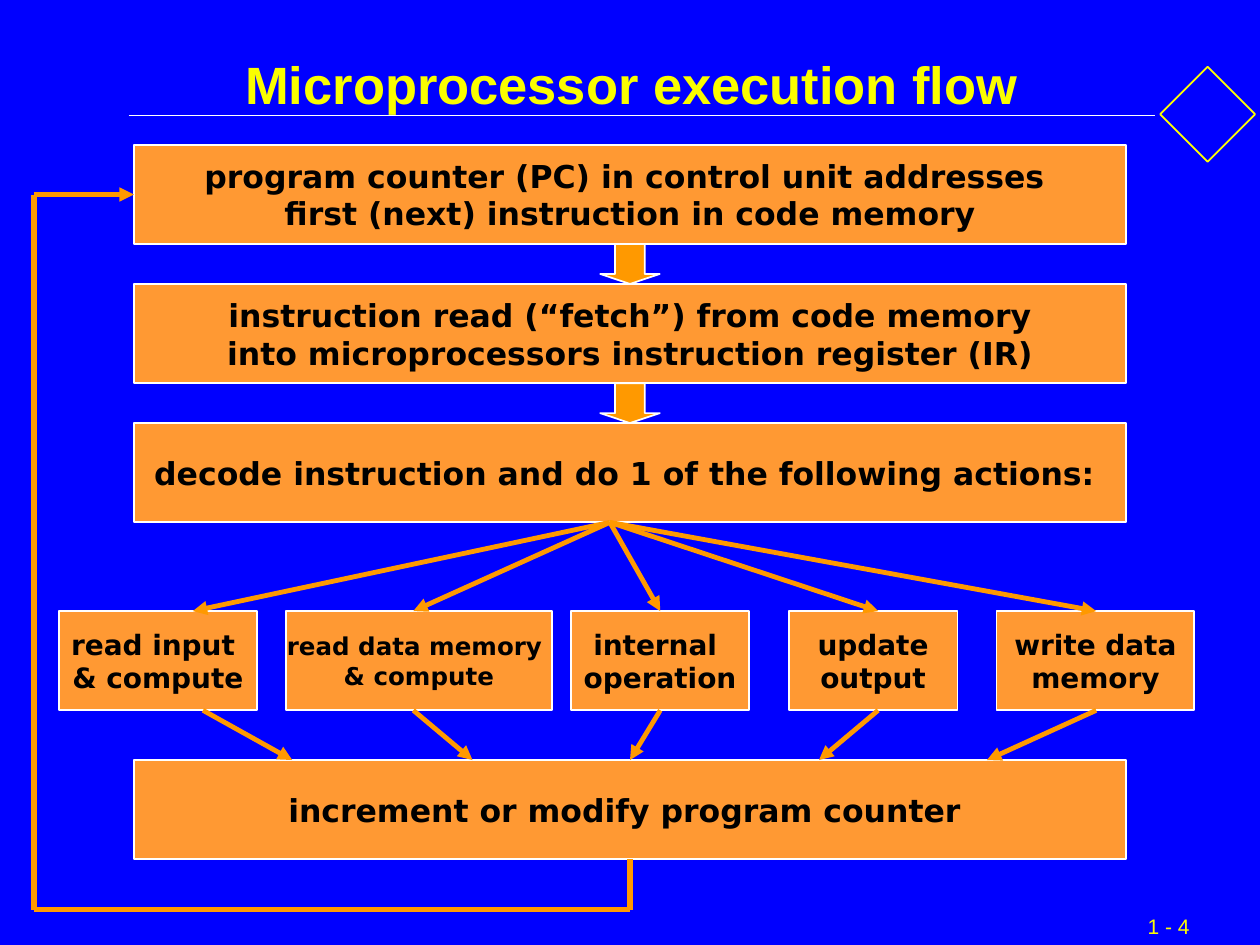
from itertools import pairwise

from lxml import etree
from pptx import Presentation
from pptx.dml.color import RGBColor
from pptx.enum.shapes import MSO_CONNECTOR, MSO_SHAPE
from pptx.enum.text import MSO_ANCHOR, PP_ALIGN
from pptx.oxml.ns import qn
from pptx.util import Pt

STRAIGHT = MSO_CONNECTOR.STRAIGHT
RECT, DIAMOND, DOWN = MSO_SHAPE.RECTANGLE, MSO_SHAPE.DIAMOND, MSO_SHAPE.DOWN_ARROW
TOP, MIDDLE = MSO_ANCHOR.TOP, MSO_ANCHOR.MIDDLE
CENTER, LEFT = PP_ALIGN.CENTER, PP_ALIGN.LEFT


class Theme:
    back = RGBColor(0x00, 0x00, 0xFF)
    box = RGBColor(0xFF, 0x99, 0x33)
    arrow = RGBColor(0xFF, 0x99, 0x00)
    rule = RGBColor(0xFF, 0xFF, 0xFF)
    mark = RGBColor(0xFF, 0xFF, 0x00)
    title = {"name": "Arial", "size": Pt(30), "bold": True,
             "color": RGBColor(0xFA, 0xFD, 0x00)}
    number = {"name": "Arial", "size": Pt(12), "bold": False, "color": mark}
    label = {"name": "DejaVu Sans", "bold": True, "color": RGBColor(0, 0, 0)}
    step_size, action_size, tight_size = 18, 16, 14
    thin, arrow_width, loop_width = 1, 2.75, 3


STEPS = [
    ["program counter (PC) in control unit addresses ",
     "first (next) instruction in code memory"],
    ["instruction read (“fetch”) from code memory",
     "into microprocessors instruction register (IR)"],
    ["decode instruction and do 1 of the following actions: "],
]
LAST_STEP = ["increment or modify program counter "]

# lines, left, width, type size, arrow in x, arrow out x, arrow landing x
ACTIONS = [
    (["read input ", "& compute"], 33.8, 113, Theme.action_size, 110.2, 116, 167),
    (["read data memory ", "& compute"], 163.4, 152, Theme.tight_size, 236.2, 236.2, 270),
    (["internal ", "operation"], 326.2, 102, Theme.action_size, 377.3, 377.3, 360),
    (["update", "output"], 450.7, 96.5, Theme.action_size, 501.8, 501.8, 468),
    (["write data", "memory"], 569.5, 113, Theme.action_size, 626.4, 626.4, 564),
]


def write(tf, lines, style, align=CENTER):
    for i, line in enumerate(lines):
        p = tf.paragraphs[0] if i == 0 else tf.add_paragraph()
        p.alignment = align
        r = p.add_run()
        r.text = line
        for name, value in style.items():
            if name == "color":
                r.font.color.rgb = value
            else:
                setattr(r.font, name, value)


def add_shape(s, kind, box, fill, line):
    """Add a preset shape; a fill of None leaves it hollow."""
    sp = s.shapes.add_shape(kind, *map(Pt, box))
    sp.shadow.inherit = False
    if fill is None:
        sp.fill.background()
    else:
        sp.fill.solid()
        sp.fill.fore_color.rgb = fill
    sp.line.color.rgb = line
    sp.line.width = Pt(Theme.thin)
    return sp


def add_line(s, start, end, color, width, head=False):
    c = s.shapes.add_connector(STRAIGHT, *map(Pt, (*start, *end)))
    c.line.color.rgb = color
    c.line.width = Pt(width)
    if head:
        etree.SubElement(c.line._get_or_add_ln(), qn("a:tailEnd"), type="triangle")
    etree.SubElement(c._element.spPr, qn("a:effectLst"))


def add_box(s, box, lines, size):
    sp = add_shape(s, RECT, box, Theme.box, Theme.rule)
    tf = sp.text_frame
    tf.word_wrap = False
    tf.vertical_anchor = MIDDLE
    write(tf, lines, {**Theme.label, "size": Pt(size)})


def add_header(s, box):
    x, y, w, h = box
    add_line(s, (x + 55.5, y + 36), (x + 642, y + 36), Theme.rule, Theme.thin)
    add_shape(s, DIAMOND, (x + 645, y + 8.2, 54.2, 54.2), None, Theme.mark)
    title = s.shapes.title
    frame = {"left": x, "top": y, "width": w, "height": h}
    for name, value in frame.items():
        setattr(title, name, Pt(value))
    tf = title.text_frame
    tf.vertical_anchor = TOP
    for side in ("left", "top", "right", "bottom"):
        setattr(tf, f"margin_{side}", 0)
    write(tf, ["Microprocessor execution flow"], Theme.title)


def add_steps(s, box, pitch):
    """Stack the step boxes, with a block arrow in each gap."""
    x, y, w, h = box
    for i, lines in enumerate(STEPS):
        top = y + i * pitch
        add_box(s, (x, top, w, h), lines, Theme.step_size)
        if i:
            gap = pitch - h
            arrow = add_shape(s, DOWN, (x + w / 2 - 17, top - gap, 34, gap),
                              Theme.arrow, Theme.rule)
            arrow.adjustments[0], arrow.adjustments[1] = 0.5, 0.25


def add_actions(s, top, height, source, landing):
    """Fan out from the source point to the actions and on to the landing level."""
    for lines, left, width, size, *_ in ACTIONS:
        add_box(s, (left, top, width, height), lines, size)
    for *_, enter, leave, land in ACTIONS:
        add_line(s, source, (enter, top), Theme.arrow, Theme.arrow_width, head=True)
        add_line(s, (leave, top + height), (land, landing),
                 Theme.arrow, Theme.arrow_width, head=True)


def add_return_loop(s, points):
    *legs, last = pairwise(points)
    for start, end in legs:
        add_line(s, start, end, Theme.arrow, Theme.loop_width)
    add_line(s, *last, Theme.arrow, Theme.arrow_width, head=True)


def add_flow(s, box):
    x, y, w, h = box
    height, pitch = 56.7, 79.5
    middle, last_top = x + w / 2, y + h - height
    decode_bottom = y + 2 * pitch + height
    add_steps(s, (x, y, w, height), pitch)
    add_box(s, (x, last_top, w, height), LAST_STEP, Theme.step_size)
    add_actions(s, y + 266.4, height, (middle - 11.5, decode_bottom), last_top)
    rail, floor, entry = x - 57, y + h + 28.8, y + height / 2
    add_return_loop(s, [(middle, y + h), (middle, floor), (rail, floor),
                        (rail, entry), (x, entry)])


def add_page_number(s, box):
    tf = s.shapes.add_textbox(*map(Pt, box)).text_frame
    tf.word_wrap = False
    write(tf, ["1 - 4"], Theme.number, LEFT)


def main():
    prs = Presentation()
    prs.slide_width, prs.slide_height = Pt(720), Pt(540)
    s = prs.slides.add_slide(prs.slide_layouts[5])
    s.background.fill.solid()
    s.background.fill.fore_color.rgb = Theme.back
    add_header(s, (18, 30, 686, 52.6))
    add_flow(s, (76.5, 82.8, 567, 408.2))
    add_page_number(s, (648.7, 518.4, 86.4, 21.6))
    prs.save("out.pptx")


if __name__ == "__main__":
    main()
